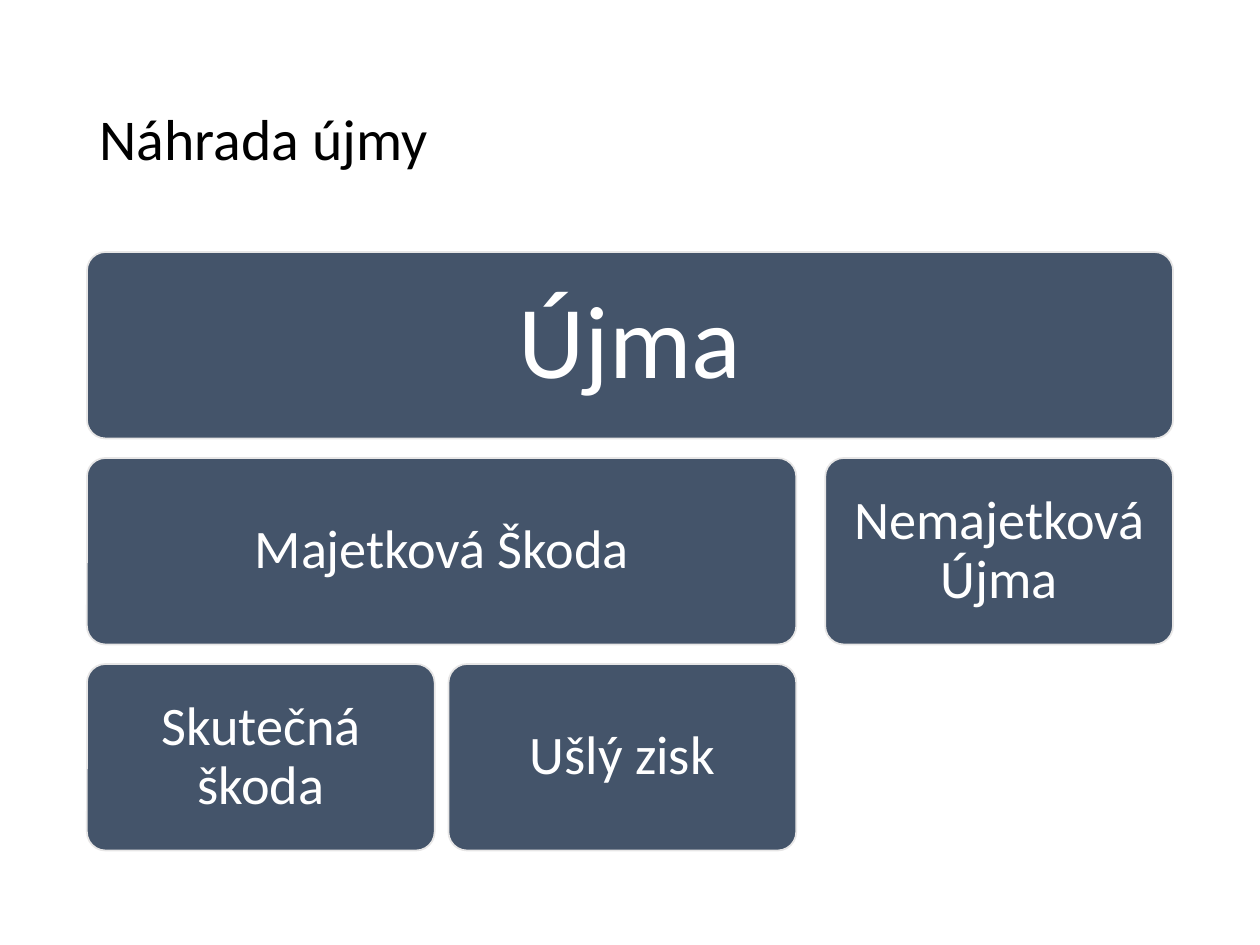
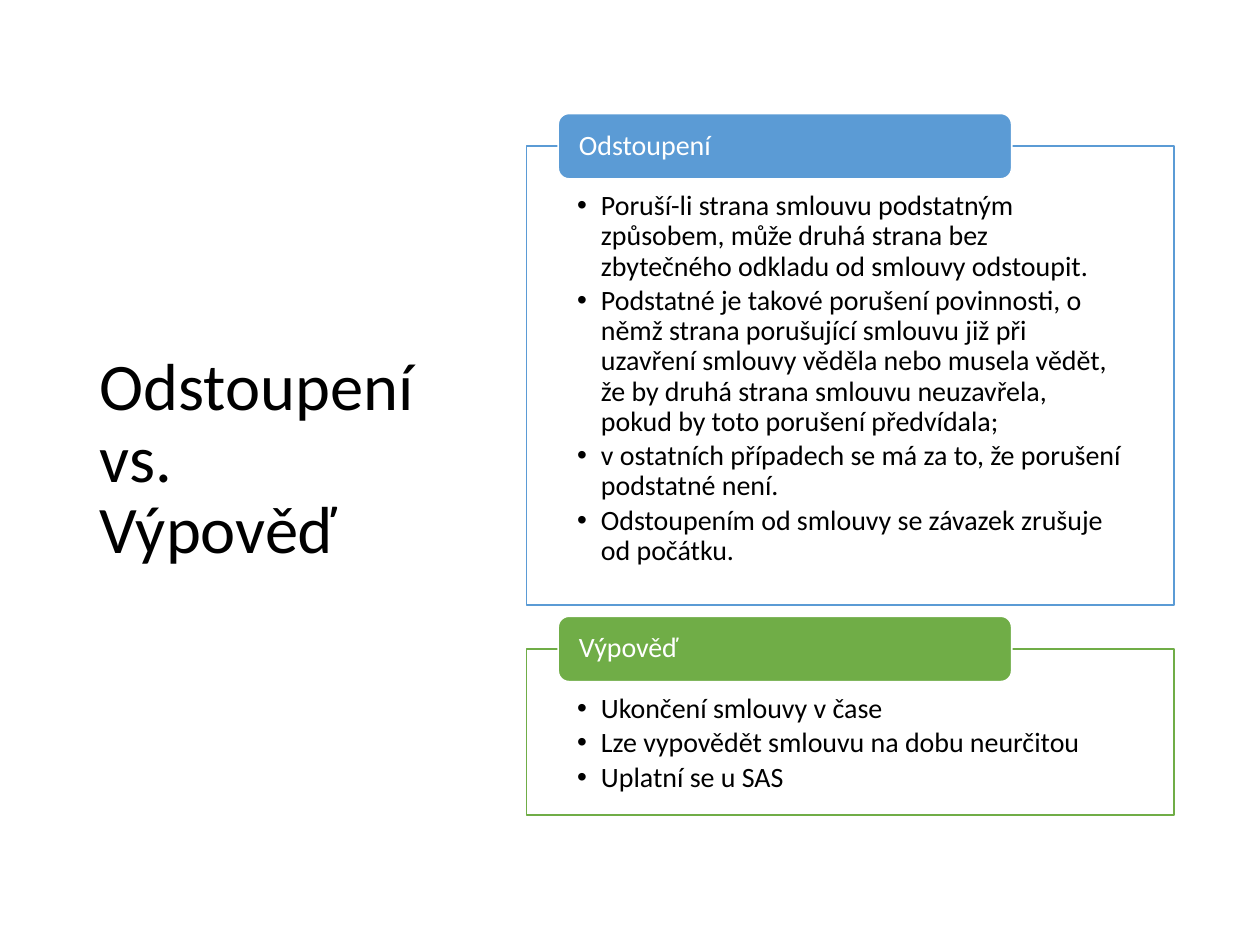
from lxml.etree import SubElement
from pptx import Presentation
from pptx.dml.color import RGBColor
from pptx.enum.shapes import MSO_SHAPE
from pptx.enum.text import MSO_ANCHOR, PP_ALIGN
from pptx.oxml.ns import qn
from pptx.util import Inches, Pt

# Content: each tree node is (label, children)
HARM_TITLE = "Náhrada újmy"
HARM_TREE = ("Újma", [
    ("Majetková Škoda", [("Skutečná škoda", []), ("Ušlý zisk", [])]),
    ("Nemajetková Újma", []),
])

ENDING_TITLE = "Odstoupení vs. Výpověď"
BLUE = RGBColor(0x5B, 0x9B, 0xD5)
GREEN = RGBColor(0x70, 0xAD, 0x47)
# Heading, colour, panel height, points
ENDINGS = [
    ("Odstoupení", BLUE, 3.64, [
        "Poruší-li strana smlouvu podstatným způsobem, může druhá strana bez "
        "zbytečného odkladu od smlouvy odstoupit.",
        "Podstatné je takové porušení povinnosti, o němž strana porušující smlouvu "
        "již při uzavření smlouvy věděla nebo musela vědět, že by druhá strana "
        "smlouvu neuzavřela, pokud by toto porušení předvídala;",
        "v ostatních případech se má za to, že porušení podstatné není.",
        "Odstoupením od smlouvy se závazek zrušuje od počátku.",
    ]),
    ("Výpověď", GREEN, 1.32, [
        "Ukončení smlouvy v čase",
        "Lze vypovědět smlouvu na dobu neurčitou",
        "Uplatní se u SAS",
    ]),
]

# Shared style
FONT = "Calibri"
BLACK = RGBColor(0, 0, 0)
WHITE = RGBColor(0xFF, 0xFF, 0xFF)
SLATE = RGBColor(0x44, 0x54, 0x6A)
PALE_GREY = RGBColor(0xE7, 0xE6, 0xE6)
LEFT = 0.69

# Tree grid
TREE_TOP, TREE_WIDTH, TREE_HEIGHT = 2, 8.62, 4.75
NODE_HEIGHT = 1.48
ROW_PITCH = (TREE_HEIGHT - NODE_HEIGHT) / 2
SIBLING_GAPS = [0.23, 0.11]  # below the root, below the second row
LEAF_WIDTH = (TREE_WIDTH - sum(SIBLING_GAPS)) / 3

# Panels with a heading tab across the top edge
PANEL_LEFT, PANEL_TOP, PANEL_WIDTH, PANEL_GAP = 4.18, 1.16, 5.14, 0.35
TAB_INDENT, TAB_WIDTH, TAB_HEIGHT = 0.25, 3.6, 0.52


def write(shape, lines, size, color, insets=(0.1, 0.05, 0.1, 0.05),
          align=PP_ALIGN.LEFT, anchor=MSO_ANCHOR.MIDDLE, bulleted=False):
    frame = shape.text_frame
    frame.word_wrap = True
    frame.vertical_anchor = anchor
    (frame.margin_left, frame.margin_top,
     frame.margin_right, frame.margin_bottom) = map(Inches, insets)
    frame.text = "\n".join(lines)
    for paragraph in frame.paragraphs:
        if bulleted:
            paragraph.level = 1
            paragraph.space_after = Pt(2.4)
            properties = paragraph._p.get_or_add_pPr()
            properties.set("marL", str(Inches(0.19)))
            properties.set("indent", str(-Inches(0.19)))
            SubElement(properties, qn("a:buFont"), typeface="Arial")
            SubElement(properties, qn("a:buChar"), char="•")
        paragraph.alignment = align
        paragraph.line_spacing = 0.9
        for run in paragraph.runs:
            run.font.name = FONT
            run.font.size = Pt(size)
            run.font.color.rgb = color


def add_title(slide, title, top, width, height, size):
    box = slide.shapes.add_textbox(*map(Inches, (LEFT, top, width, height)))
    write(box, [title], size, BLACK)


def add_box(slide, kind, place, fill, line):
    box = slide.shapes.add_shape(kind, *map(Inches, place))
    box.shadow.inherit = False
    box.fill.solid()
    box.fill.fore_color.rgb = fill
    box.line.color.rgb = line
    box.line.width = Pt(1)
    return box


def node_width(node, level):
    children = node[1]
    if not children:
        return LEAF_WIDTH
    return (sum(node_width(child, level + 1) for child in children)
            + SIBLING_GAPS[level] * (len(children) - 1))


def add_node(slide, node, left, level=0):
    label, children = node
    place = (left, TREE_TOP + level * ROW_PITCH, node_width(node, level), NODE_HEIGHT)
    box = add_box(slide, MSO_SHAPE.ROUNDED_RECTANGLE, place, SLATE, PALE_GREY)
    box.adjustments[0] = 0.1
    size, inset = (31, 0.13) if level else (59, 0.25)
    write(box, [label], size, WHITE, (inset,) * 4, PP_ALIGN.CENTER)
    for child in children:
        add_node(slide, child, left, level + 1)
        left += node_width(child, level + 1) + SIBLING_GAPS[level]


def add_panel(slide, top, heading, color, height, points):
    panel = add_box(slide, MSO_SHAPE.RECTANGLE,
                    (PANEL_LEFT, top, PANEL_WIDTH, height), WHITE, color)
    write(panel, points, 16, BLACK, (0.4, 0.36, 0.4, 0.12),
          anchor=MSO_ANCHOR.TOP, bulleted=True)
    tab = add_box(slide, MSO_SHAPE.ROUNDED_RECTANGLE,
                  (PANEL_LEFT + TAB_INDENT, top - TAB_HEIGHT / 2, TAB_WIDTH, TAB_HEIGHT),
                  color, WHITE)
    write(tab, [heading], 16, WHITE, (0.14, 0, 0.14, 0))


def main():
    deck = Presentation()
    deck.slide_width, deck.slide_height = Inches(10), Inches(7.5)
    blank = deck.slide_layouts[6]

    # Kinds of harm
    harm = deck.slides.add_slide(blank)
    add_title(harm, HARM_TITLE, 0.4, TREE_WIDTH, 1.45, 33)
    add_node(harm, HARM_TREE, LEFT)

    # Two ways to end a contract
    ending = deck.slides.add_slide(blank)
    add_title(ending, ENDING_TITLE, 0.61, 2.77, 6.09, 38)
    top = PANEL_TOP
    for heading, color, height, points in ENDINGS:
        add_panel(ending, top, heading, color, height, points)
        top += height + PANEL_GAP

    deck.save("out.pptx")


if __name__ == "__main__":
    main()
